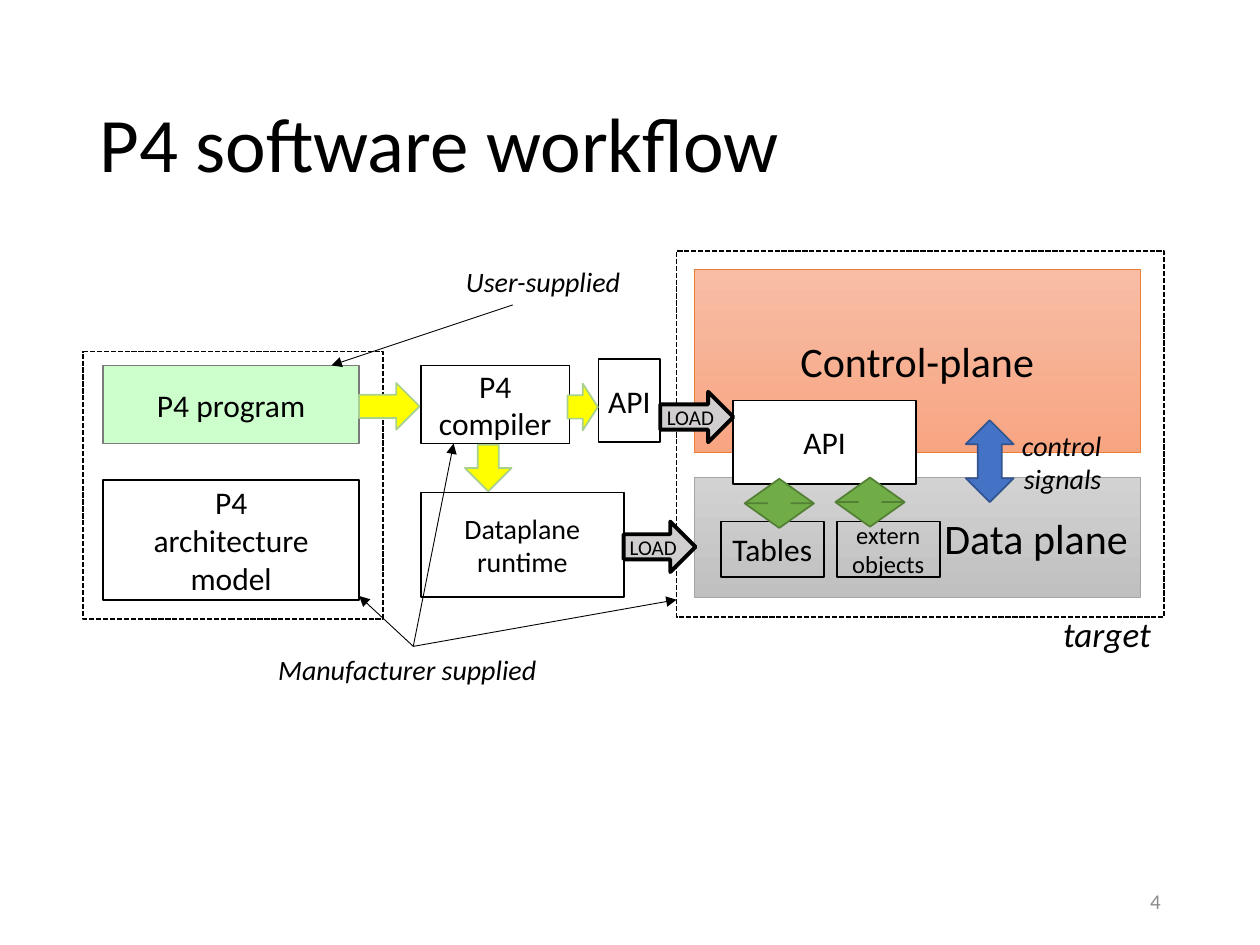
import pptx
import pptx.util
import pptx.dml.color
import pptx.enum.dml
import pptx.enum.shapes
import pptx.enum.text
import pptx.oxml

RGB = pptx.dml.color.RGBColor
BLACK = RGB(0x00, 0x00, 0x00)
WHITE = RGB(0xFF, 0xFF, 0xFF)
GRAY = RGB(0x8C, 0x8C, 0x8C)
MINT = RGB(0xCC, 0xFF, 0xCC)
MOSS = RGB(0x7A, 0x7A, 0x7A)
YELLOW = RGB(0xFF, 0xFF, 0x00)
LIME = RGB(0xA9, 0xD1, 0x8E)
GREEN = RGB(0x70, 0xAD, 0x47)
PINE = RGB(0x53, 0x80, 0x35)
BLUE = RGB(0x44, 0x72, 0xC4)
NAVY = RGB(0x32, 0x54, 0x91)
SILVER = RGB(0xD0, 0xCE, 0xCE)
ORANGE = RGB(0xED, 0x7D, 0x31)
PEACH = RGB(0xF7, 0xBD, 0xA5), RGB(0xF8, 0xA5, 0x82)
STEEL = RGB(0xA5, 0xA5, 0xA5)
ASH = RGB(0xD2, 0xD2, 0xD2), RGB(0xC0, 0xC0, 0xC0)

Pt = pptx.util.Pt
KIND = pptx.enum.shapes.MSO_SHAPE
ALIGN = pptx.enum.text.PP_ALIGN
MIDDLE = pptx.enum.text.MSO_ANCHOR.MIDDLE
DASH = pptx.enum.dml.MSO_LINE.SQUARE_DOT

deck = pptx.Presentation()
deck.slide_width = pptx.util.Inches(10)
deck.slide_height = pptx.util.Inches(7.5)
COL = deck.slide_width // 100
ROW = deck.slide_height // 75
slide = deck.slides.add_slide(deck.slide_layouts[6])
shapes = slide.shapes


def write(shape, text, size, align=ALIGN.CENTER, color=BLACK, italic=False):
    shape.text_frame.text = text
    for para in shape.text_frame.paragraphs:
        para.alignment = align
        para.font.name = "Calibri"
        para.font.size = Pt(size)
        para.font.color.rgb = color
        para.font.italic = italic


def draw(kind, at, fill, line, width=1, text="", size=18):
    """Add a preset shape at (column, row, columns, rows); a pair of fills is a gradient."""
    x, y, w, h = at
    shape = shapes.add_shape(kind, int(x * COL), int(y * ROW), int(w * COL), int(h * ROW))
    shape.shadow.inherit = False
    if fill is None:
        shape.fill.background()
    elif isinstance(fill, RGB):
        shape.fill.solid()
        shape.fill.fore_color.rgb = fill
    else:
        shape.fill.gradient()
        shape.fill.gradient_angle = 270
        for stop, color in zip(shape.fill.gradient_stops, fill):
            stop.color.rgb = color
    shape.line.color.rgb = line
    shape.line.width = Pt(width)
    if text:
        shape.text_frame.word_wrap = w > 10
        shape.text_frame.vertical_anchor = MIDDLE
        write(shape, text, size)
    return shape


# Inputs, compiler and planes
draw(KIND.RECTANGLE, (8.2, 29, 20.3, 6.2), MINT, MOSS, text="P4 program")
draw(KIND.RECTANGLE, (8.2, 38.1, 20.3, 9.5), None, BLACK, text="P4\varchitecture\nmodel")
data = draw(KIND.RECTANGLE, (55.1, 37.9, 35.4, 9.5), ASH, STEEL, 0.5, "Data plane", 24)
data.text_frame.paragraphs[0].alignment = ALIGN.RIGHT
draw(KIND.RECTANGLE, (33.4, 29, 11.8, 6.2), None, BLACK, text="P4 compiler")
draw(KIND.RECTANGLE, (57.2, 41.4, 8.2, 4.4), None, BLACK, text="Tables")
draw(KIND.RECTANGLE, (33.4, 39.1, 16.1, 8.3), None, BLACK, text="Dataplane\vruntime", size=16)
down = draw(KIND.DOWN_ARROW, (36.9, 35.3, 3.7, 3.7), YELLOW, LIME)
down.adjustments[0] = 0.447
draw(KIND.RECTANGLE, (55.1, 21.4, 35.4, 14.5), PEACH, ORANGE, 0.5, "Control-plane", 24)
signal = draw(KIND.LEFT_RIGHT_ARROW, (75.3, 34.7, 6.5, 3.8), BLUE, NAVY)
signal.rotation = 270

# Dashed frames
for at in ((6.6, 27.9, 23.8, 21.2), (53.7, 19.9, 38.7, 29.1)):
    draw(KIND.RECTANGLE, at, None, BLACK).line.dash_style = DASH

# Control API, its links and the objects it drives
draw(KIND.RECTANGLE, (58.2, 31.8, 14.5, 6.6), WHITE, BLACK, text="API")
draw(KIND.RIGHT_ARROW, (28.5, 30.4, 4.8, 3.7), YELLOW, LIME)
draw(KIND.RECTANGLE, (66.4, 41.4, 8.2, 4.4), None, BLACK, text="extern\vobjects", size=14)
for x, y in ((59.1, 38), (66.3, 37.9)):
    link = draw(KIND.UP_DOWN_ARROW, (x, y, 5.5, 3.9), GREEN, PINE)
    link.adjustments[1] = 0.343

# Generated API and loading
draw(KIND.RECTANGLE, (47.5, 28.5, 4.9, 6.6), WHITE, BLACK, text="API")
turn = draw(KIND.DOWN_ARROW, (44.4, 31.1, 3.7, 2.4), YELLOW, LIME)
turn.rotation = 270
for at in ((49.5, 41.4, 5.7, 4), (52.4, 31.1, 5.8, 4)):
    draw(KIND.RIGHT_ARROW, at, SILVER, BLACK, 2.25, "LOAD", 12)

# Pointers from the captions
maker = (32.8, 51.3)
for start, end in (
    ((40.7, 24.2), (26.3, 29)),
    (maker, (28.5, 47.3)),
    (maker, (36, 35.2)),
    (maker, (53.7, 47.6)),
):
    ray = shapes.add_connector(
        pptx.enum.shapes.MSO_CONNECTOR.STRAIGHT,
        int(start[0] * COL), int(start[1] * ROW), int(end[0] * COL), int(end[1] * ROW),
    )
    ray.line.color.rgb = BLACK
    ray.line.width = Pt(0.5)
    props = ray.element.spPr
    tip = pptx.oxml.parse_xml(
        '<a:tailEnd xmlns:a="http://schemas.openxmlformats.org/drawingml/2006/main" type="triangle"/>'
    )
    props.find(pptx.oxml.ns.qn("a:ln")).append(tip)
    props.append(props.makeelement(pptx.oxml.ns.qn("a:effectLst"), {}))

# Captions, title and page number
for at, text, size, align, color, italic, wrap in (
    ((83.4, 48.1, 9, 4.4), "target", 20, ALIGN.LEFT, BLACK, True, False),
    ((36, 20.5, 15, 3.7), "User-supplied", 16, ALIGN.LEFT, BLACK, True, False),
    ((21.1, 51.3, 23.3, 3.7), "Manufacturer supplied", 16, ALIGN.LEFT, BLACK, True, False),
    ((80, 33.5, 8.4, 6.4), "control\nsignals", 16, ALIGN.RIGHT, BLACK, True, False),
    ((6.9, 4, 86.2, 14.5), "P4 software workflow", 44, ALIGN.LEFT, BLACK, False, True),
    ((70.6, 69.5, 22.5, 4), "4", 12, ALIGN.RIGHT, GRAY, False, True),
):
    x, y, w, h = at
    label = shapes.add_textbox(int(x * COL), int(y * ROW), int(w * COL), int(h * ROW))
    label.text_frame.word_wrap = wrap
    if wrap:
        label.text_frame.vertical_anchor = MIDDLE
    else:
        label.text_frame.auto_size = pptx.enum.text.MSO_AUTO_SIZE.SHAPE_TO_FIT_TEXT
    write(label, text, size, align, color, italic)

deck.save("out.pptx")
